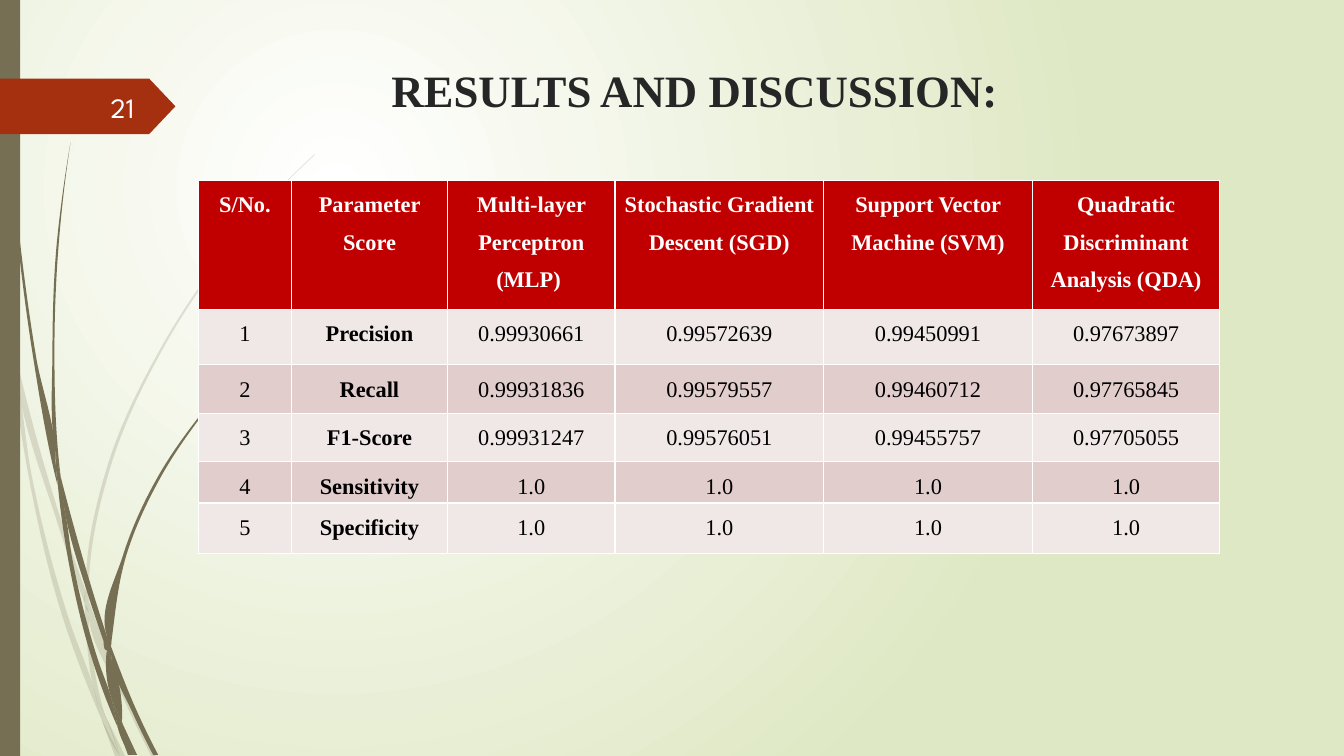
import itertools

import pptx
import pptx.dml.color
import pptx.enum.shapes
import pptx.enum.text
import pptx.oxml
import pptx.oxml.ns
import pptx.util
from pptx.util import Inches

SERIF, SANS = "Times New Roman", "League Spartan"
OLIVE, RUST, WHITE, BLACK = "766F54", "A53010", "FFFFFF", "000000"
ALIGN = pptx.enum.text.PP_ALIGN
ANCHOR = pptx.enum.text.MSO_ANCHOR
NS = pptx.oxml.ns.nsdecls("a")
qn = pptx.oxml.ns.qn

# Each blade of grass has two edges, one running out and one running back
PALE = [
    ([(.11, 3.5), (.09, 3.22), (0, 2.82)], [(0, 2.99), (.1, 3.44), (.11, 3.5)]),
    ([(.14, 3.45), (.17, 3.76), (.58, 5.22), (.84, 5.99)],
     [(.85, 5.86), (.62, 5.2), (.14, 3.45)]),
    ([(.88, 5.96), (.88, 6.1), (1.23, 6.94), (1.5, 7.5)],
     [(1.55, 7.5), (1.27, 6.92), (.92, 6.07), (.88, 5.96)]),
    ([(1.05, 7.11), (1.19, 7.5)], [(1.24, 7.5), (1.05, 7.11)]),
    ([(.11, 3.5), (.28, 4.7), (.65, 6.21), (.92, 6.93), (1.01, 7.14)],
     [(.99, 7.07), (.93, 6.83), (.7, 6.19), (.31, 4.69), (.17, 3.76), (.11, 3.5)]),
    ([(.84, 5.99), (.87, 6.46), (.93, 6.83), (.96, 6.92), (1.05, 7.11)],
     [(1.03, 7.06), (.91, 6.46), (.88, 6.1), (.88, 6.08), (.84, 5.99)]),
    ([(.88, 5.96), (.88, 5.84), (1.1, 4.62), (1.6, 3.49), (2.29, 2.45),
      (2.68, 1.98), (2.9, 1.75), (3.12, 1.54)],
     [(3.12, 1.53), (2.89, 1.75), (2.68, 1.97), (2.28, 2.44), (1.58, 3.48),
      (1.07, 4.61), (.85, 5.84), (.85, 5.86)]),
    ([(1.01, 7.14), (1.14, 7.5)], [(1.19, 7.5), (1.01, 7.14)]),
    ([(.88, 6.08), (.88, 5.96)], [(.85, 5.86), (.84, 5.99), (.88, 6.08)]),
    ([(.93, 6.83), (.99, 7.07), (1.01, 7.14), (1.19, 7.5)],
     [(1.19, 7.5), (1.05, 7.11), (.96, 6.92), (.93, 6.83)]),
]
DARK = [
    ([(.03, 0), (.04, .48), (.07, 1.1), (.17, 2.33), (.33, 3.55), (.56, 4.77), (.57, 4.81)],
     [(.55, 4.57), (.55, 4.53), (.36, 3.55), (.19, 2.32), (.08, 1.09), (.05, .48), (.04, 0)]),
    ([(.6, 4.72), (.64, 5.05), (.88, 5.92), (1.06, 6.45)],
     [(1.06, 6.31), (.93, 5.9), (.6, 4.72)]),
    ([(1.1, 6.41), (1.11, 6.56), (1.32, 7.08), (1.52, 7.49)],
     [(1.57, 7.49), (1.36, 7.06), (1.13, 6.49), (1.1, 6.41)]),
    ([(.57, 4.77), (.68, 5.57), (.93, 6.59), (1.11, 7.08), (1.17, 7.22)],
     [(1.16, 7.17), (1.1, 6.91), (.98, 6.57), (.72, 5.56), (.64, 5.05), (.57, 4.77)]),
    ([(.6, 4.72), (.58, 4.53), (.54, 3.49), (.58, 2.45), (.63, 1.93), (.7, 1.41)],
     [(.7, 1.41), (.62, 1.93), (.56, 2.45), (.52, 3.49), (.55, 4.49), (.6, 4.72)]),
    ([(1.22, 7.19), (1.33, 7.49)], [(1.36, 7.49), (1.22, 7.19)]),
    ([(.55, 4.49), (.55, 4.53), (.57, 4.77), (.64, 5.05)], [(.6, 4.72), (.55, 4.49)]),
    ([(1.1, 6.41), (1.11, 6.33), (1.25, 5.52), (1.58, 4.76), (2.05, 4.06),
      (2.31, 3.74), (2.45, 3.59), (2.61, 3.44)],
     [(2.6, 3.44), (2.45, 3.58), (2.31, 3.73), (2.04, 4.05), (1.56, 4.74),
      (1.22, 5.51), (1.06, 6.31), (1.1, 6.41)]),
    ([(1.17, 7.22), (1.27, 7.49)], [(1.31, 7.49), (1.17, 7.22)]),
    ([(1.06, 6.45), (1.1, 6.91), (1.16, 7.06), (1.22, 7.19)],
     [(1.21, 7.16), (1.11, 6.56), (1.06, 6.45)]),
    ([(1.06, 6.45), (1.11, 6.56)], [(1.1, 6.41), (1.06, 6.31), (1.06, 6.45)]),
    ([(1.1, 6.91), (1.16, 7.17), (1.17, 7.22), (1.3, 7.49)],
     [(1.33, 7.49), (1.22, 7.19), (1.16, 7.06), (1.1, 6.91)]),
]

HEADS = ["S/No.", "Parameter Score", "Multi-layer Perceptron (MLP) ",
         "Stochastic Gradient Descent (SGD)", "Support Vector Machine (SVM)",
         "Quadratic Discriminant Analysis (QDA)"]
SCORES = [
    ("Precision", "0.99930661", "0.99572639", "0.99450991", "0.97673897"),
    ("Recall", "0.99931836", "0.99579557", "0.99460712", "0.97765845"),
    ("F1-Score", "0.99931247", "0.99576051", "0.99455757", "0.97705055"),
    ("Sensitivity",) + ("1.0",) * 4,
    ("Specificity",) + ("1.0",) * 4,
]
WIDTHS = [.92, 1.55, 1.66, 2.07, 2.07, 1.86]
HEIGHTS = [1.28, .55, .48, .48, .41, .5]


def rgb(code):
    return pptx.dml.color.RGBColor.from_string(code)


def write(frame, text, size=16, font=SERIF, color=BLACK, bold=False,
          align=ALIGN.CENTER, lines=None, before=None):
    para = frame.paragraphs[0]
    para.alignment = align
    if lines:
        para.line_spacing = lines
    if before:
        para.space_before = pptx.util.Pt(before)
    run = para.add_run()
    run.text = text
    run.font.size, run.font.name, run.font.bold = pptx.util.Pt(size), font, bold
    run.font.color.rgb = rgb(color)


def label(slide, box, text, anchor=ANCHOR.TOP, **style):
    frame = slide.shapes.add_textbox(*map(Inches, box)).text_frame
    frame.word_wrap = True
    frame.vertical_anchor = anchor
    write(frame, text, **style)


def paint(shape, color, alpha=100):
    shape.shadow.inherit = False
    shape.fill.solid()
    shape.fill.fore_color.rgb = rgb(color)
    shape.line.fill.background()
    if alpha < 100:
        tone = shape.fill._xPr.find(".//" + qn("a:srgbClr"))
        tone.append(pptx.oxml.parse_xml(f'<a:alpha {NS} val="{alpha * 1000}"/>'))


def outline(shapes, points, color, alpha=100):
    spots = [(Inches(x), Inches(y)) for x, y in points]
    pen = shapes.build_freeform(*spots[0])
    pen.add_line_segments(spots[1:], close=True)
    shape = pen.convert_to_shape()
    paint(shape, color, alpha)
    return shape


def slopes(knots):
    """Unit tangents at the knots, given as complex numbers."""
    steps = [b - a for a, b in itertools.pairwise(knots)]
    units = [s / abs(s) for s in steps]
    if len(units) == 1:
        return units * 2
    inner = [u * abs(t) + v * abs(s) for (u, s), (v, t)
             in itertools.pairwise(zip(units, steps))]
    inner = [d / abs(d) for d in inner]
    # An end tangent mirrors its neighbour across the chord between them
    return [units[0]**2 / inner[0], *inner, units[-1]**2 / inner[-1]]


def bend(lines, knots):
    """Turn the straight segments between the knots into curves."""
    pairs = itertools.pairwise(zip(knots, slopes(knots)))
    for line, ((a, m), (b, n)) in zip(lines, pairs):
        reach = abs(b - a) / 3
        dots = "".join(f'<a:pt x="{round(p.real)}" y="{round(p.imag)}"/>'
                       for p in (a + reach * m, b - reach * n, b))
        line.getparent().replace(line, pptx.oxml.parse_xml(
            f'<a:cubicBezTo {NS}>{dots}</a:cubicBezTo>'))


def grass(slide, blades, alpha):
    group = slide.shapes.add_group_shape()
    for out, back in blades:
        shape = outline(group.shapes, out + back, OLIVE, alpha)
        trace = shape._element.find(".//" + qn("a:path"))
        knots = [complex(int(p.get("x")), int(p.get("y")))
                 for p in trace.iter(qn("a:pt"))]
        lines = trace.findall(qn("a:lnTo"))
        turn, end = len(out), len(out) + len(back)
        bend(lines[:turn - 1], knots[:turn])
        bend(lines[turn:end - 1], knots[turn:end])


def backdrop(slide):
    fill = slide.background.fill
    fill.gradient()
    for stop, color in zip(fill.gradient_stops, (WHITE, "DFE8C4")):
        stop.color.rgb = rgb(color)
    grad = slide.element.find(".//" + qn("a:gradFill"))
    grad.replace(grad.find(qn("a:lin")), pptx.oxml.parse_xml(
        f'<a:path {NS} path="circle"><a:fillToRect l="50000" t="50000" '
        'r="100000" b="100000"/></a:path>'))


def tag(slide, box, number):
    left, top, width, height = box
    right, base, neck = left + width, top + height, left + width - .26
    outline(slide.shapes, [(left, top), (neck, top), (right, top + height / 2),
                           (neck, base), (left, base)], RUST)
    label(slide, (left + .58, top + .08, .85, .4), number, anchor=ANCHOR.MIDDLE,
          size=20, font=SANS, color="FEFFFF", align=ALIGN.RIGHT)


def border(cell):
    props = cell._tc.get_or_add_tcPr()
    for spot, side in enumerate(("lnL", "lnR", "lnT", "lnB")):
        props.insert(spot, pptx.oxml.parse_xml(
            f'<a:{side} {NS} w="12700"><a:solidFill><a:srgbClr val="{WHITE}"/>'
            f'</a:solidFill></a:{side}>'))


def scores(slide, left, top):
    rows = [HEADS] + [(str(n), *row) for n, row in enumerate(SCORES, 1)]
    box = map(Inches, (left, top, sum(WIDTHS), sum(HEIGHTS)))
    table = slide.shapes.add_table(len(rows), len(HEADS), *box).table
    for col, width in zip(table.columns, WIDTHS):
        col.width = Inches(width)
    for r, row in enumerate(rows):
        table.rows[r].height = Inches(HEIGHTS[r])
        shade = "C00000" if r == 0 else ("E1CDCC", "F0E8E7")[r % 2]
        for c, text in enumerate(row):
            cell = table.cell(r, c)
            cell.margin_left = cell.margin_right = Inches(.07)
            cell.margin_top = cell.margin_bottom = 0
            cell.fill.solid()
            cell.fill.fore_color.rgb = rgb(shade)
            border(cell)
            write(cell.text_frame, text, color=BLACK if r else WHITE,
                  bold=r == 0 or c == 1, lines=1.5, before=12)


def main():
    deck = pptx.Presentation()
    deck.slide_width, deck.slide_height = Inches(13.33), Inches(7.5)
    slide = deck.slides.add_slide(deck.slide_layouts[6])
    # Background, grass and side bar
    backdrop(slide)
    grass(slide, PALE, 20)
    grass(slide, DARK, 100)
    bar = slide.shapes.add_shape(pptx.enum.shapes.MSO_SHAPE.RECTANGLE,
                                 0, 0, Inches(.2), deck.slide_height)
    paint(bar, OLIVE)
    # Page number, title and table
    tag(slide, (0, .78, 1.74, .55), "21")
    label(slide, (3.07, .57, 7.64, .7), "RESULTS AND DISCUSSION:", size=32,
          color="262626", bold=True)
    scores(slide, 1.97, 1.79)
    deck.save("out.pptx")


if __name__ == "__main__":
    main()
